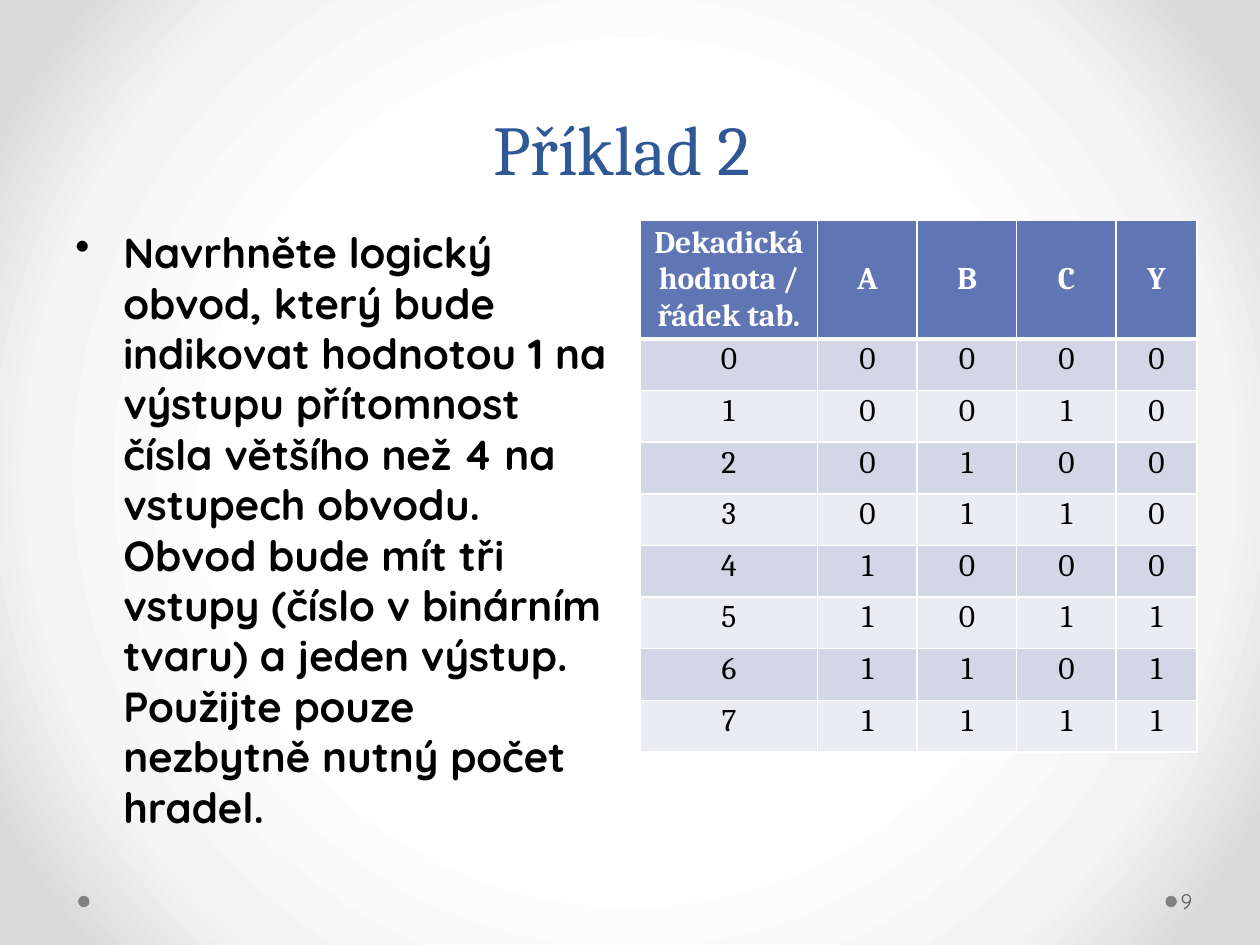
from dataclasses import dataclass

from pptx import Presentation
from pptx.dml.color import RGBColor
from pptx.enum.shapes import MSO_SHAPE
from pptx.enum.text import MSO_ANCHOR, PP_ALIGN
from pptx.oxml import parse_xml
from pptx.oxml.ns import nsdecls
from pptx.util import Inches, Pt


@dataclass(frozen=True)
class Theme:
    serif: str = "Cambria"
    sans: str = "Quicksand"
    title: str = "2F5897"
    ink: str = "000000"
    white: str = "FFFFFF"
    header: str = "6076B4"
    bands: tuple = ("D2D6E5", "EAECF2")
    dot: str = "808080"
    number: str = "595959"
    backdrop: tuple = ((50, "FFFFFF"), (76, "F4F4F4"), (92, "DADADA"))
    title_size: int = 40
    body_size: int = 24
    table_size: int = 18
    number_size: int = 12


theme = Theme()


def write(frame, text, font, size, color, bold=False, align=PP_ALIGN.LEFT, **frame_format):
    """Fill a text frame with one formatted paragraph and return the paragraph."""
    for name, value in frame_format.items():
        setattr(frame, name, value)
    paragraph = frame.paragraphs[0]
    paragraph.text = text
    paragraph.alignment = align
    for run in paragraph.runs:
        for name, value in {"name": font, "size": Pt(size), "bold": bold}.items():
            setattr(run.font, name, value)
        run.font.color.rgb = RGBColor.from_string(color)
    return paragraph


prs = Presentation()
prs.slide_width, prs.slide_height = Inches(10), Inches(7.5)
slide = prs.slides.add_slide(prs.slide_layouts[6])
shapes = slide.shapes

# Radial background
stops = "".join(
    f'<a:gs pos="{position * 1000}"><a:srgbClr val="{color}"/></a:gs>'
    for position, color in theme.backdrop
)
slide.element.cSld.insert(0, parse_xml(
    f'<p:bg {nsdecls("p", "a")}><p:bgPr><a:gradFill><a:gsLst>{stops}</a:gsLst>'
    '<a:path path="circle"><a:fillToRect l="50000" t="50000" r="50000" b="50000"/></a:path>'
    '</a:gradFill><a:effectLst/></p:bgPr></p:bg>'
))

# Footer dots
for left in (9.25, 0.62):
    dot = shapes.add_shape(
        MSO_SHAPE.OVAL, Inches(left), Inches(7.11), Inches(0.09), Inches(0.09))
    dot.shadow.inherit = False
    dot.fill.solid()
    dot.fill.fore_color.rgb = RGBColor.from_string(theme.dot)
    dot.line.fill.background()

# Title
title = shapes.add_textbox(Inches(0.5), Inches(0.3), Inches(9), Inches(1.25))
heading = write(title.text_frame, "Příklad 2 ", theme.serif, theme.title_size, theme.title,
                align=PP_ALIGN.CENTER, word_wrap=True, vertical_anchor=MSO_ANCHOR.BOTTOM)
heading.line_spacing = Pt(58)

# Assignment
assignment = shapes.add_textbox(Inches(0.5), Inches(1.75), Inches(4.42), Inches(4.95))
task = write(
    assignment.text_frame,
    "Navrhněte logický obvod, který bude indikovat hodnotou 1 na výstupu přítomnost "
    "čísla většího než 4 na vstupech obvodu. Obvod bude mít tři vstupy (číslo v binárním "
    "tvaru) a jeden výstup. Použijte pouze nezbytně nutný počet hradel.",
    theme.sans, theme.body_size, theme.ink, bold=True, word_wrap=True)
task.space_before = Pt(5)
bullet = task._p.get_or_add_pPr()
bullet.set("marL", str(Inches(0.38)))
bullet.set("indent", str(Inches(-0.38)))
bullet.append(parse_xml(f'<a:buChar {nsdecls("a")} char="•"/>'))

# Truth table: the output is 1 for inputs above 4
truth_rows = [["Dekadická\vhodnota /\vřádek tab.", "A", "B", "C", "Y"]]
for number in range(8):
    truth_rows.append([str(number), *f"{number:03b}", str(int(number > 4))])
column_widths = (1.41, 0.79, 0.79, 0.79, 0.64)
row_height = Inches(0.41)
truth_table = shapes.add_table(
    len(truth_rows), len(column_widths), Inches(5.08), Inches(1.75),
    Inches(sum(column_widths)), row_height * len(truth_rows)).table
for column, width in zip(truth_table.columns, column_widths):
    column.width = Inches(width)
for row in truth_table.rows:
    row.height = row_height

for r, values in enumerate(truth_rows):
    is_header = r == 0
    side_margin = Inches(0.05 if is_header else 0.02)
    cell_format = {
        "margin_left": side_margin,
        "margin_right": side_margin,
        "margin_top": Inches(0.02),
        "margin_bottom": Inches(0.02),
        "vertical_anchor": MSO_ANCHOR.MIDDLE if is_header else MSO_ANCHOR.TOP,
    }
    border_widths = {"lnL": 1, "lnR": 1, "lnT": 3 if r == 1 else 1, "lnB": 3 if is_header else 1}
    for c, value in enumerate(values):
        cell = truth_table.cell(r, c)
        for name, setting in cell_format.items():
            setattr(cell, name, setting)
        write(cell.text_frame, value, theme.serif, theme.table_size,
              theme.white if is_header else theme.ink, bold=is_header, align=PP_ALIGN.CENTER)
        for side, width in border_widths.items():
            cell._tc.get_or_add_tcPr().append(parse_xml(
                f'<a:{side} {nsdecls("a")} w="{Pt(width)}"><a:solidFill>'
                f'<a:srgbClr val="{theme.white}"/></a:solidFill></a:{side}>'))
        cell.fill.solid()
        cell.fill.fore_color.rgb = RGBColor.from_string(
            theme.header if is_header else theme.bands[(r - 1) % 2])

# Slide number
page = shapes.add_textbox(Inches(9.34), Inches(6.95), Inches(0.61), Inches(0.4))
write(page.text_frame, "9", theme.sans, theme.number_size, theme.number, word_wrap=True,
      vertical_anchor=MSO_ANCHOR.MIDDLE, margin_left=Inches(0.03), margin_right=Inches(0.05))

prs.save("out.pptx")
